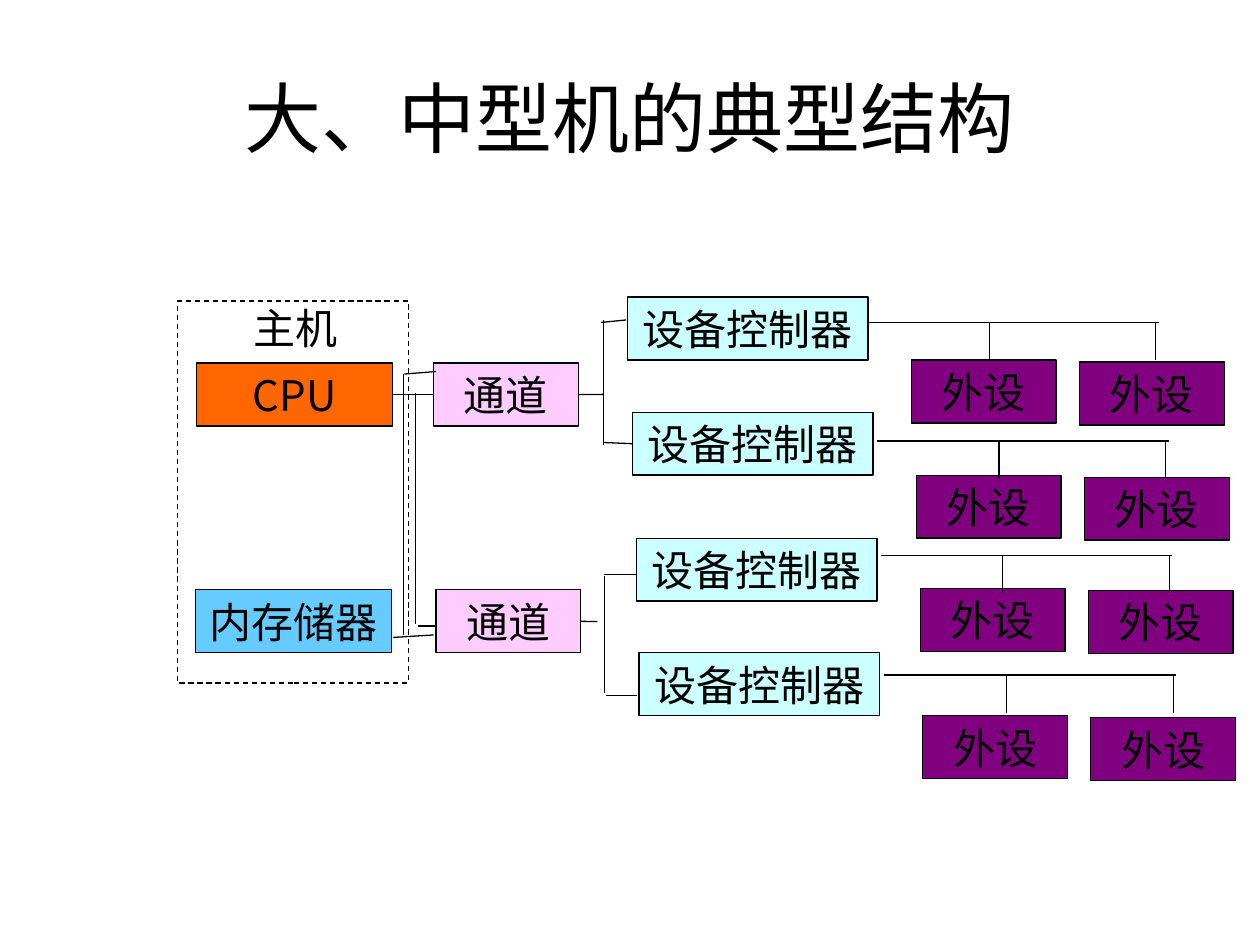
import pptx
import pptx.dml.color
import pptx.enum.dml
import pptx.enum.shapes
import pptx.enum.text
import pptx.oxml
import pptx.oxml.ns
import pptx.util
from pptx.util import Cm

RGBColor = pptx.dml.color.RGBColor
BLACK = RGBColor(0x00, 0x00, 0x00)
ORANGE = RGBColor(0xFF, 0x66, 0x00)
BLUE = RGBColor(0x66, 0xCC, 0xFF)
PINK = RGBColor(0xFF, 0xCC, 0xFF)
CYAN = RGBColor(0xCC, 0xFF, 0xFF)
PURPLE = RGBColor(0x80, 0x00, 0x80)
FONT = "Noto Sans CJK SC"
TOP, LEFT, BOTTOM, RIGHT = range(4)

# Content; all lengths in centimetres
TITLE = "大、中型机的典型结构"
HOST, CPU, MEMORY = "主机", "CPU", "内存储器"
CHANNEL, CONTROLLER, DEVICE = "通道", "设备控制器", "外设"

BOX_HEIGHT = 1.27
HOST_PART_WIDTH, CONTROLLER_WIDTH, SMALL_WIDTH = 3.96, 4.85, 2.92

# Controller left, controller top, device top, bus left, bus height
DEVICE_ROWS = [
    (12.65, 5.99, 7.26, 17.48, 6.50),
    (12.75, 8.31, 9.58, 17.68, 8.89),
    (12.83, 10.85, 11.86, 17.75, 11.20),
    (12.88, 13.16, 14.43, 17.83, 13.61),
]
DEVICE_OFFSET, DEVICE_STEP, DEVICE_DROP = 5.72, 3.39, 0.04
BUS_LENGTH, BRANCH_OFFSETS, BRANCH_LENGTH = 5.88, (2.46, 5.82), 0.76

# Free-standing wires: x1, y1, x2, y2
HOST_WIRES = [
    (8.38, 7.92, 8.38, 12.57),
    (8.43, 12.62, 8.81, 12.62),
    (7.92, 12.85, 8.74, 12.80),
    (8.13, 12.80, 8.13, 7.54),
    (8.15, 7.54, 8.79, 7.49),
]
CONTROLLER_WIRES = [
    (12.17, 6.45, 12.17, 8.97),
    (12.12, 6.50, 12.62, 6.45),
    (12.19, 11.61, 12.19, 13.97),
    (12.17, 11.58, 12.83, 11.58),
    (12.22, 14.02, 12.85, 14.02),
]


def write(shape, text, size):
    frame = shape.text_frame
    frame.text = text
    frame.word_wrap = True
    frame.margin_top = frame.margin_bottom = 0
    frame.vertical_anchor = pptx.enum.text.MSO_ANCHOR.MIDDLE
    paragraph = frame.paragraphs[0]
    paragraph.alignment = pptx.enum.text.PP_ALIGN.CENTER
    paragraph.space_before = pptx.util.Pt(0)
    font = paragraph.font
    font.size = pptx.util.Pt(size)
    font.color.rgb = BLACK
    font.name = FONT
    # Chinese text takes its own typeface element
    defaults = paragraph._p.pPr.find(pptx.oxml.ns.qn("a:defRPr"))
    defaults.append(pptx.oxml.parse_xml(
        f'<a:ea {pptx.oxml.ns.nsdecls("a")} typeface="{FONT}"/>'))


def add_box(left, top, width, height=BOX_HEIGHT, text=None, fill=None):
    box = slide.shapes.add_shape(
        pptx.enum.shapes.MSO_SHAPE.RECTANGLE,
        Cm(left), Cm(top), Cm(width), Cm(height))
    box.shadow.inherit = False
    box.line.color.rgb = BLACK
    box.line.width = pptx.util.Pt(0.75)
    if fill is None:
        box.fill.background()
    else:
        box.fill.solid()
        box.fill.fore_color.rgb = fill
    if text:
        write(box, text, 24)
    return box


def add_wire(x1, y1, x2, y2):
    wire = slide.shapes.add_connector(
        pptx.enum.shapes.MSO_CONNECTOR.STRAIGHT,
        Cm(x1), Cm(y1), Cm(x2), Cm(y2))
    wire.line.color.rgb = BLACK
    wire.line.width = pptx.util.Pt(0.75)
    wire._element.spPr.append(pptx.oxml.parse_xml(
        f'<a:effectLst {pptx.oxml.ns.nsdecls("a")}/>'))
    return wire


presentation = pptx.Presentation()
presentation.slide_width, presentation.slide_height = Cm(25.4), Cm(19.05)
slide = presentation.slides.add_slide(presentation.slide_layouts[5])

# Title
title = slide.shapes.title
title.left, title.top, title.width, title.height = (
    Cm(1.27), Cm(0.76), Cm(22.86), Cm(3.18))
write(title, TITLE, 44)

# Host: CPU and memory inside a dashed frame
cpu = add_box(3.96, 7.32, HOST_PART_WIDTH, text=CPU, fill=ORANGE)
add_box(3.94, 11.89, HOST_PART_WIDTH, text=MEMORY, fill=BLUE)
host = add_box(3.58, 6.07, 4.65, 7.7)
host.line.dash_style = pptx.enum.dml.MSO_LINE.DASH
host_label = slide.shapes.add_textbox(Cm(4.39), Cm(5.97), Cm(3.12), Cm(BOX_HEIGHT))
write(host_label, HOST, 24)

# Channels
upper_channel = add_box(8.74, 7.32, SMALL_WIDTH, text=CHANNEL, fill=PINK)
lower_channel = add_box(8.79, 11.89, SMALL_WIDTH, text=CHANNEL, fill=PINK)

# Controllers with their devices and buses
controllers = []
for left, top, device_top, bus_left, bus_y in DEVICE_ROWS:
    controllers.append(
        add_box(left, top, CONTROLLER_WIDTH, text=CONTROLLER, fill=CYAN))
    for column in range(2):
        add_box(left + DEVICE_OFFSET + column * DEVICE_STEP,
                device_top + column * DEVICE_DROP,
                SMALL_WIDTH, text=DEVICE, fill=PURPLE)
    add_wire(bus_left, bus_y, bus_left + BUS_LENGTH, bus_y)
    for offset in BRANCH_OFFSETS:
        x = bus_left + offset
        add_wire(x, bus_y, x, bus_y + BRANCH_LENGTH)

# Wires between host, channels and controllers
for ends in HOST_WIRES + CONTROLLER_WIRES:
    add_wire(*ends)

cpu_wire = add_wire(7.92, 7.95, 8.74, 7.95)
cpu_wire.begin_connect(cpu, RIGHT)
cpu_wire.end_connect(upper_channel, LEFT)
add_wire(11.66, 7.95, 12.17, 7.95).begin_connect(upper_channel, RIGHT)
add_wire(11.71, 12.53, 12.04, 12.53).begin_connect(lower_channel, RIGHT)
add_wire(12.17, 8.92, 12.75, 8.94).end_connect(controllers[1], LEFT)

presentation.save("out.pptx")
